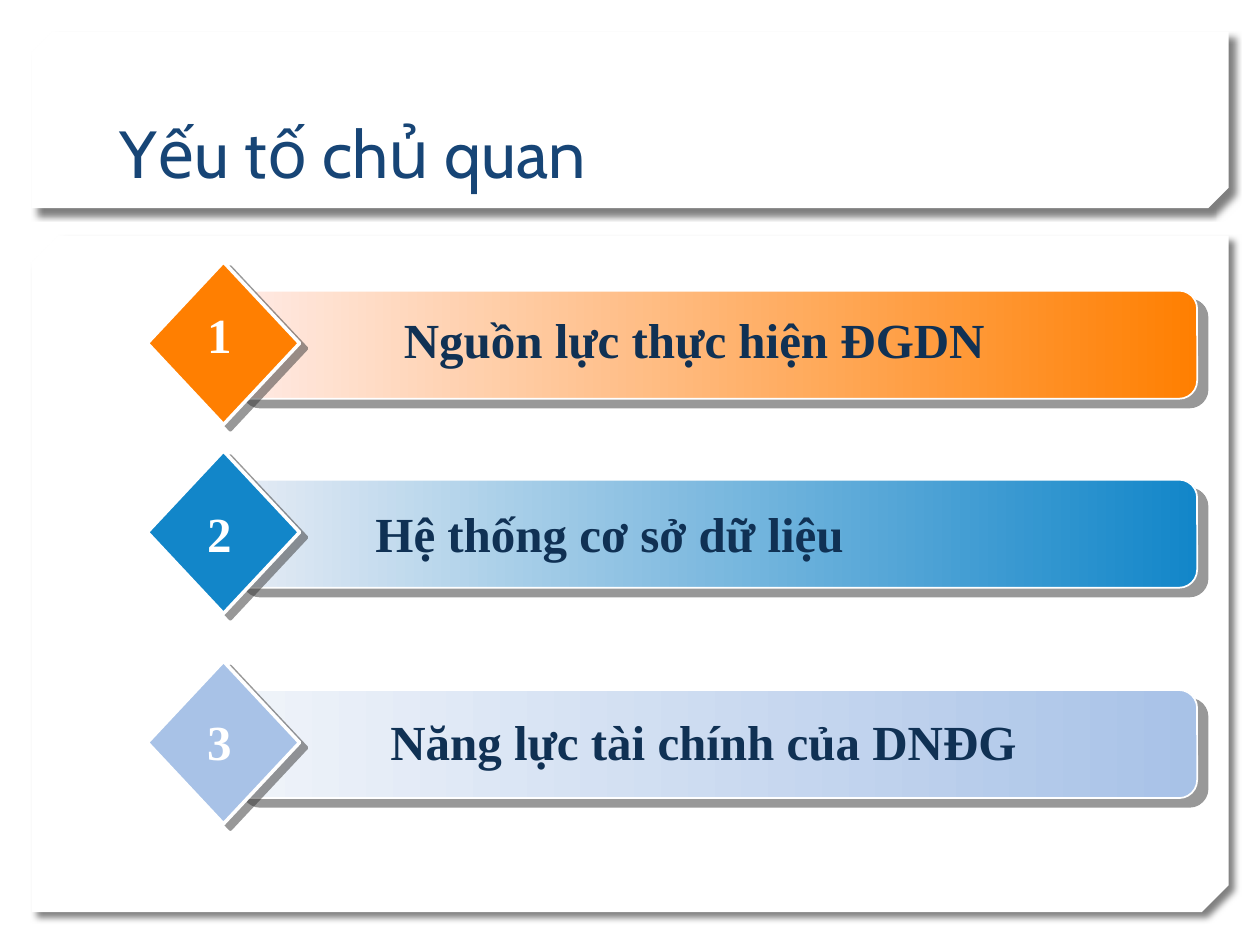
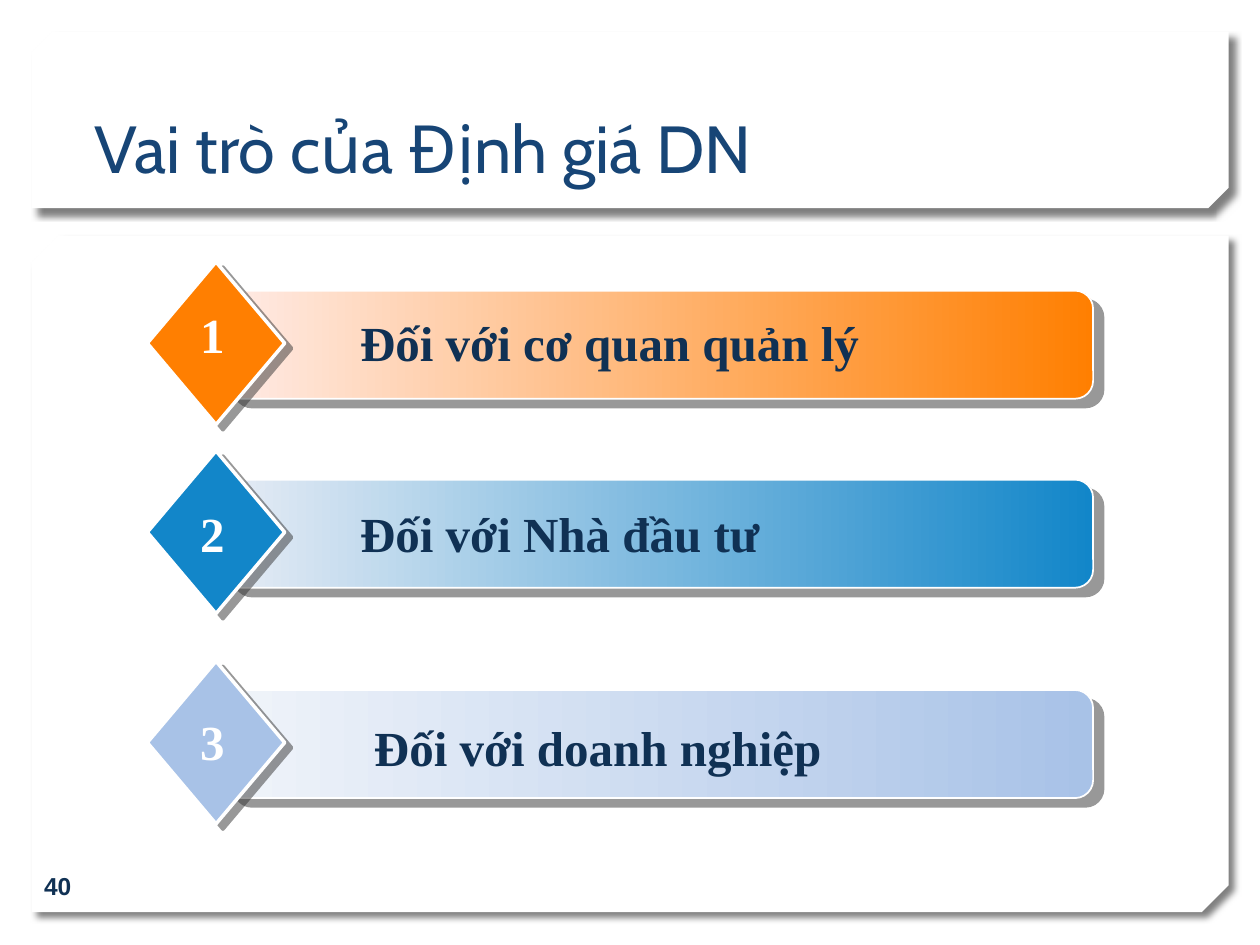
from dataclasses import dataclass

from lxml import etree
from pptx import Presentation
from pptx.dml.color import RGBColor
from pptx.enum import shapes, text
from pptx.oxml import ns
from pptx.util import Cm, Pt


@dataclass(frozen=True)
class Theme:
    white: str = "FFFFFF"
    title: str = "174576"
    ink: str = "103154"
    dark: str = "333333"
    black: str = "000000"
    head: str = "Cabin"
    body: str = "Times New Roman"
    foot: str = "Arial"
    big: int = 38
    mid: int = 28
    small: int = 14
    ramps: tuple = (("FFEBE6", "FF7F01"), ("E6ECF5", "1286C9"), ("F0F4FA", "A8C2E7"))


T = Theme()
KIND = shapes.MSO_SHAPE
ALIGN = text.PP_ALIGN
ANCHOR = text.MSO_ANCHOR
FIT = text.MSO_AUTO_SIZE
TOPS = (5.28, 9.09, 13.33)
DROPS = (0.74, 0.94, 0.89)
LEFT = 2.97


def rgb(code):
    return RGBColor.from_string(code)


def cast(shape, color, blur, dist, angle):
    shape.shadow.inherit = False
    effects = shape._element.spPr.find(ns.qn("a:effectLst"))
    outer = etree.SubElement(
        effects, ns.qn("a:outerShdw"), blurRad=str(Pt(blur)), dist=str(Pt(dist)),
        dir=str(angle * 60000), algn="ctr", rotWithShape="0")
    tone = etree.SubElement(outer, ns.qn("a:srgbClr"), val=color)
    etree.SubElement(tone, ns.qn("a:alpha"), val="50000")


def form(host, kind, box, fill, line=0, ramp=None, adjust=()):
    shape = host.shapes.add_shape(kind, *map(Cm, box))
    for i, value in enumerate(adjust):
        shape.adjustments[i] = value
    if ramp:
        shape.fill.gradient()
        shape.fill.gradient_angle = 0
        for stop, code in zip(shape.fill.gradient_stops, ramp):
            stop.color.rgb = rgb(code)
    else:
        shape.fill.solid()
        shape.fill.fore_color.rgb = rgb(fill)
    if line:
        shape.line.color.rgb = rgb(T.white)
        shape.line.width = Pt(line)
    else:
        shape.line.fill.background()
    return shape


def write(shape, words, font=T.body, size=T.mid, color=T.ink, bold=True,
          align=ALIGN.LEFT, anchor=ANCHOR.TOP, wrap=True, fit=FIT.NONE, indent=0):
    frame = shape.text_frame
    frame.word_wrap = wrap
    frame.auto_size = fit
    frame.vertical_anchor = anchor
    para = frame.paragraphs[0]
    para.alignment = align
    if indent:
        para.level = 1
        props = para._p.get_or_add_pPr()
        props.set("marL", str(Cm(indent)))
        props.set("indent", "0")
    run = para.add_run()
    run.text = words
    run.font.name = font
    run.font.size = Pt(size)
    run.font.bold = bold
    run.font.color.rgb = rgb(color)


def label(host, box, words, **style):
    write(host.shapes.add_textbox(*map(Cm, box)), words, **style)


def panels(slide, layout):
    for i, (top, high, snip) in enumerate(((4.75, 13.64, 0.04), (0.64, 3.56, 0.117))):
        panel = form(slide, KIND.SNIP_2_DIAG_RECTANGLE, (0.64, top, 24.13, high),
                     T.white, adjust=(0, snip))
        panel._element.spPr.xfrm.set("flipV", "1")
        cast(panel, T.black, 4, 5, 45)
        layout.shapes._spTree.insert(2 + i, panel._element)


def head(slide, words, box):
    title = slide.shapes.title
    title.left, title.top, title.width, title.height = map(Cm, box)
    write(title, words, font=T.head, size=T.big, color=T.title, bold=False,
          anchor=ANCHOR.BOTTOM)


def row(slide, i, gem, bar, words, box, align=ALIGN.LEFT):
    top, ramp = TOPS[i], T.ramps[i]
    group = slide.shapes.add_group_shape()
    strip = form(group, KIND.ROUNDED_RECTANGLE, (LEFT + 0.555 * gem, top + 0.58, bar, 2.18),
                 ramp[1], line=1, ramp=ramp, adjust=(0.167,))
    cast(strip, T.dark, 0, 7.8, 40)
    stone = form(group, KIND.DIAMOND, (LEFT, top, gem, 3.28), ramp[1], line=2)
    cast(stone, T.dark, 0, 5, 37)
    label(group, box, words, align=align, fit=FIT.SHAPE_TO_FIT_TEXT, indent=1.27)
    label(group, (LEFT + 0.29 * gem, top + DROPS[i], 0.365 * gem, 1.65), str(i + 1),
          color=T.white, align=ALIGN.CENTER, wrap=False, fit=FIT.SHAPE_TO_FIT_TEXT)


def main():
    deck = Presentation()
    deck.slide_width, deck.slide_height = Cm(25.4), Cm(19.05)
    layout = deck.slide_layouts[5]

    slide = deck.slides.add_slide(layout)
    panels(slide, layout)
    head(slide, "Yếu tố chủ quan", (2.16, 0.81, 21.06, 3.18))
    factors = (
        ("Nguồn lực thực hiện ĐGDN", (5.69, 6.12, 15.34, 1.45), ALIGN.CENTER),
        ("Hệ thống cơ sở dữ liệu", (6.05, 10.03, 15.34, 1.45)),
        ("Năng lực tài chính của DNĐG", (6.35, 14.22, 15.34, 2.64)),
    )
    for i, item in enumerate(factors):
        row(slide, i, 3.07, 19.46, *item)

    slide = deck.slides.add_slide(layout)
    head(slide, "Vai trò của Định giá DN", (1.65, 1.5, 21.06, 2.39))
    label(slide, (0.64, 17.35, 5.92, 1.02), "40", font=T.foot, size=T.small,
          anchor=ANCHOR.MIDDLE)
    roles = (
        ("Đối với cơ quan quản lý", (5.74, 6.17, 13.82, 1.45)),
        ("Đối với Nhà đầu tư", (5.74, 10.03, 13.82, 1.45)),
        ("Đối với doanh nghiệp", (6.02, 14.33, 13.82, 1.45)),
    )
    for i, item in enumerate(roles):
        row(slide, i, 2.77, 17.53, *item)

    deck.save("out.pptx")


if __name__ == "__main__":
    main()
